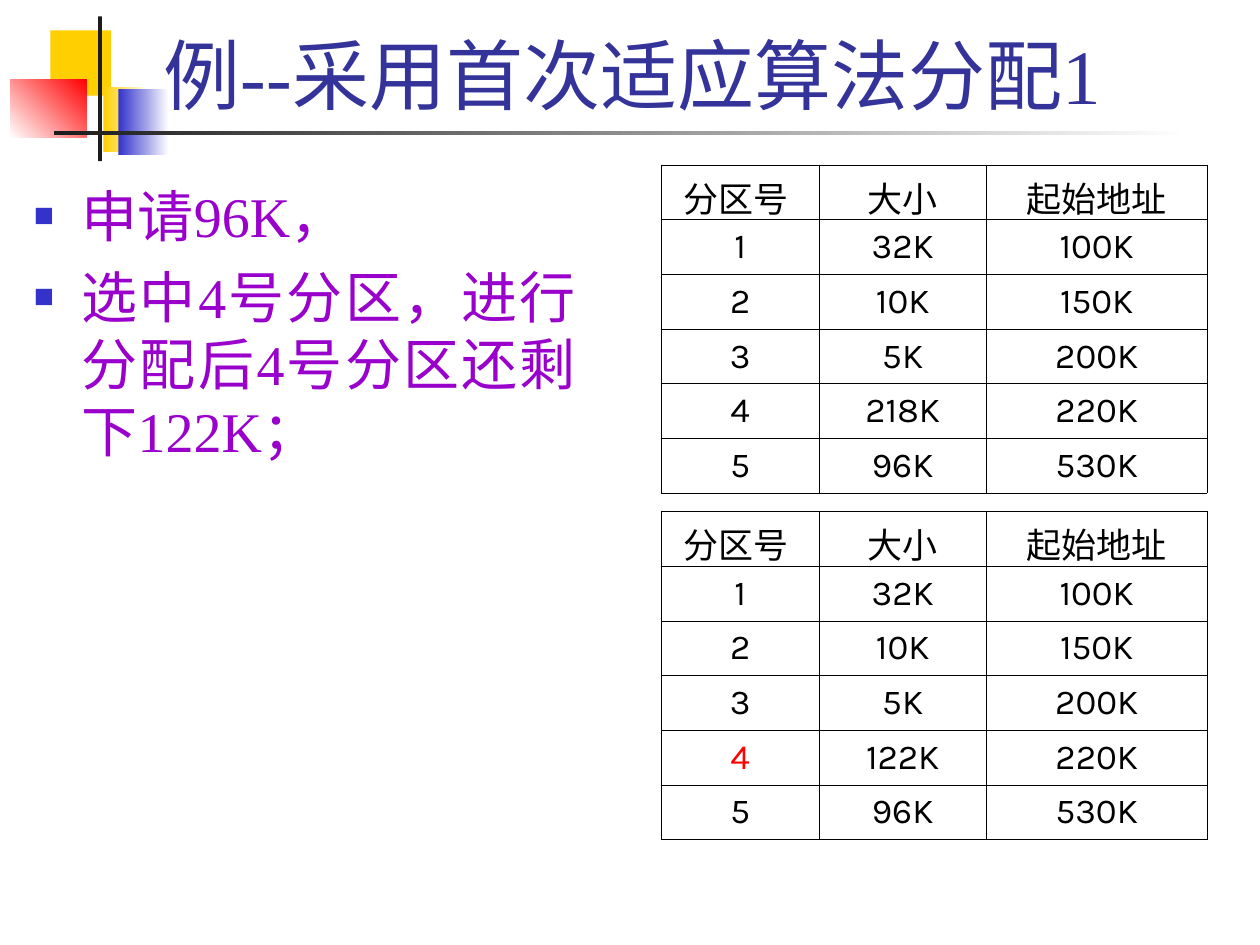
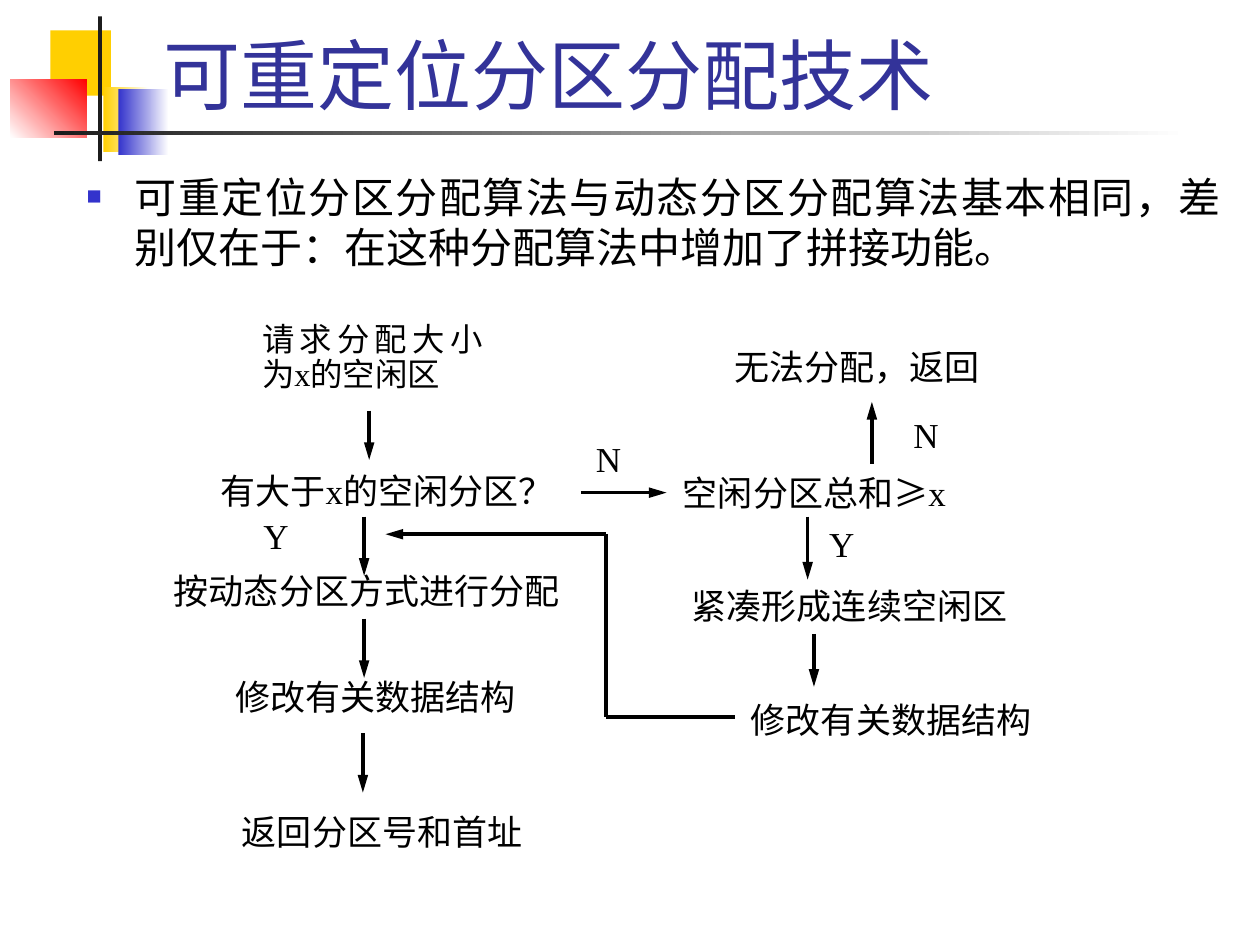
from lxml import etree
from pptx import Presentation
from pptx.dml.color import RGBColor
from pptx.enum.shapes import MSO_CONNECTOR, MSO_SHAPE
from pptx.enum.text import MSO_ANCHOR, PP_ALIGN
from pptx.oxml.ns import qn
from pptx.util import Inches, Pt

RECT = MSO_SHAPE.RECTANGLE
STRAIGHT = MSO_CONNECTOR.STRAIGHT
LEFT, CENTER, JUSTIFY = PP_ALIGN.LEFT, PP_ALIGN.CENTER, PP_ALIGN.JUSTIFY
MIDDLE, BOTTOM = MSO_ANCHOR.MIDDLE, MSO_ANCHOR.BOTTOM
BOTTOM_SIDE = 2

COLORS = {
    "black": "000000", "white": "FFFFFF", "dark": "1C1C1C", "yellow": "FFCF01",
    "blue": "3333CC", "red": "FF0000", "title": "333399", "purple": "9900CC",
}
TIMES, KARLA = "Times New Roman", "Karla"

DECORATION = [
    ((0.4, 0.24, 0.48, 0.52), ["yellow"], 0),
    ((0.82, 0.69, 0.36, 0.52), ["yellow", "white"], 0),
    ((0.94, 0.71, 0.4, 0.52), ["blue", "white"], 0),
    ((0.08, 0.63, 0.61, 0.46), ["white", "red"], 45),
    ((0.78, 0.13, 0.03, 1.15), ["dark"], 0),
    ((0.43, 1.04, 9, 0.03), ["dark", "white"], 0),
]

HEADER = ["分区号 ", "大小", "起始地址"]
SIZES = ["32K", "10K", "5K", "218K", "96K"]
SIZES_AFTER = ["32K", "10K", "5K", "122K", "96K"]
STARTS = ["100K", "150K", "200K", "220K", "530K"]
COLUMN_WIDTHS = [1.25, 1.33, 1.75]

FLOW_TEXTS = [
    ("有大于x的空闲分区？", (1.75, 3.73, 2.83, 0.36)),
    ("空闲分区总和≥x", (5.42, 3.74, 2.25, 0.45)),
    ("N", (4.73, 3.47, 0.37, 0.44)),
    ("Y", (2.09, 4.08, 0.38, 0.47)),
    ("按动态分区方式进行分配", (1.38, 4.52, 3.29, 0.48)),
    ("Y", (6.58, 4.15, 0.37, 0.44)),
    ("紧凑形成连续空闲区", (5.49, 4.64, 2.68, 0.45)),
    ("修改有关数据结构", (1.87, 5.36, 2.38, 0.36)),
    ("修改有关数据结构", (5.96, 5.54, 2.54, 0.46)),
    ("N", (7.25, 3.28, 0.37, 0.47)),
    ("返回分区号和首址", (1.92, 6.43, 2.42, 0.54)),
]
FLOW_ARROWS = [
    (2.93, 3.26, 2.93, 3.65),
    (4.61, 3.91, 5.29, 3.91),
    (2.89, 4.1, 2.89, 4.57),
    (2.89, 4.91, 2.89, 5.38),
    (2.88, 5.82, 2.88, 6.29),
    (6.41, 4.1, 6.41, 4.6),
    (6.46, 5.03, 6.46, 5.45),
    (4.81, 4.24, 3.06, 4.24),
]
FEEDBACK_LINES = [(5.83, 5.69, 4.81, 5.69), (4.81, 5.69, 4.81, 4.24)]


def rgb(name):
    """Return the named colour."""
    return RGBColor.from_string(COLORS[name])


def place(shape, box):
    """Put a shape at left, top, width, height in inches."""
    shape.left, shape.top, shape.width, shape.height = map(Inches, box)


def style(p, size, font, color, align):
    """Format a paragraph and its runs."""
    p.alignment = align
    for r in p.runs:
        r.font.size = Pt(size)
        r.font.name = font
        r.font.color.rgb = rgb(color)


def decorate_layout(s, layout):
    """Draw the corner blocks and title rule behind everything on the layout."""
    for i, (box, names, angle) in enumerate(DECORATION):
        sp = s.shapes.add_shape(RECT, *map(Inches, box))
        sp.shadow.inherit = False
        sp.line.fill.background()
        if len(names) == 1:
            sp.fill.solid()
            sp.fill.fore_color.rgb = rgb(names[0])
        else:
            sp.fill.gradient()
            sp.fill.gradient_angle = angle
            for stop, name, position in zip(sp.fill.gradient_stops, names, (0, 1)):
                stop.color.rgb = rgb(name)
                stop.position = position
        layout.shapes._spTree.insert(2 + i, sp._element)


def add_title_slide(prs, layout, title, font):
    """Add a slide with a formatted title."""
    s = prs.slides.add_slide(layout)
    place(s.shapes.title, (1.2, 0.17, 8.52, 0.83))
    tf = s.shapes.title.text_frame
    tf.text = title
    tf.vertical_anchor = BOTTOM
    style(tf.paragraphs[0], 44, font, "title", LEFT)
    return s


def add_bullet(p):
    """Give a paragraph a hanging square bullet."""
    pPr = p._p.get_or_add_pPr()
    pPr.set("marL", str(Inches(0.38)))
    pPr.set("indent", str(-Inches(0.38)))
    color = etree.SubElement(pPr, qn("a:buClr"))
    etree.SubElement(color, qn("a:srgbClr"), val=COLORS["blue"])
    etree.SubElement(pPr, qn("a:buSzPct"), val="60000")
    etree.SubElement(pPr, qn("a:buFont"), typeface=TIMES)
    etree.SubElement(pPr, qn("a:buChar"), char="■")


def add_bullets(s, box, lines, size, font, color):
    """Add a justified bullet list."""
    tf = s.shapes.add_textbox(*map(Inches, box)).text_frame
    tf.word_wrap = True
    tf.text = "\n".join(lines)
    for i, p in enumerate(tf.paragraphs):
        add_bullet(p)
        if i:
            p.space_before = Pt(8)
        style(p, size, font, color, JUSTIFY)


def add_borders(cell):
    """Draw thin black lines around a cell."""
    tcPr = cell._tc.get_or_add_tcPr()
    for side in ("a:lnL", "a:lnR", "a:lnT", "a:lnB"):
        ln = etree.SubElement(tcPr, qn(side), w=str(Pt(0.45)))
        fill = etree.SubElement(ln, qn("a:solidFill"))
        etree.SubElement(fill, qn("a:srgbClr"), val=COLORS["black"])


def add_partition_table(s, top, sizes, changed=None):
    """Add a free partition table, with the changed number in red."""
    numbers = map(str, range(1, len(sizes) + 1))
    rows = [HEADER, *zip(numbers, sizes, STARTS)]
    frame = s.shapes.add_table(len(rows), len(HEADER), Inches(5.25), Inches(top),
                               Inches(sum(COLUMN_WIDTHS)), Inches(2.6))
    table = frame.table
    table.first_row = table.horz_banding = False
    for column, width in zip(table.columns, COLUMN_WIDTHS):
        column.width = Inches(width)
    for i, row in enumerate(rows):
        for j, text in enumerate(row):
            cell = table.cell(i, j)
            cell.text = text
            cell.vertical_anchor = MIDDLE
            add_borders(cell)
            cell.fill.background()
            font = TIMES if i == j == 0 else KARLA
            color = "red" if j == 0 and i == changed else "black"
            style(cell.text_frame.paragraphs[0], 20, font, color, CENTER)


def add_flow_text(s, text, box, size=20, spacing=None):
    """Add a flowchart text without margins."""
    sp = s.shapes.add_textbox(*map(Inches, box))
    tf = sp.text_frame
    tf.word_wrap = True
    tf.margin_left = tf.margin_top = tf.margin_right = tf.margin_bottom = 0
    tf.text = text
    tf.paragraphs[0].line_spacing = spacing
    style(tf.paragraphs[0], size, TIMES, "black", JUSTIFY)
    return sp


def add_line(s, ends, arrow=True):
    """Add a straight black line, with an arrowhead at its end if wanted."""
    line = s.shapes.add_connector(STRAIGHT, *map(Inches, ends))
    line.line.color.rgb = rgb("black")
    line.line.width = Pt(2)
    if arrow:
        etree.SubElement(line.line._get_or_add_ln(), qn("a:tailEnd"),
                         type="triangle", w="med", len="lg")
    etree.SubElement(line._element.spPr, qn("a:effectLst"))
    return line


def add_flowchart(s):
    """Add the relocatable allocation flowchart."""
    add_flow_text(s, "请求分配大小为x的空闲区", (2.08, 2.57, 1.75, 0.67), 18.5, 0.9)
    for text, box in FLOW_TEXTS:
        add_flow_text(s, text, box)
    for ends in FLOW_ARROWS:
        add_line(s, ends)
    for ends in FEEDBACK_LINES:
        add_line(s, ends, arrow=False)
    failure = add_flow_text(s, "无法分配，返回", (5.83, 2.74, 2.18, 0.45))
    add_line(s, (6.92, 3.68, 6.92, 3.19)).end_connect(failure, BOTTOM_SIDE)


def main():
    """Build and save the slides."""
    prs = Presentation()
    prs.slide_width, prs.slide_height = Inches(10), Inches(7.5)
    layout = prs.slide_layouts[5]

    s = add_title_slide(prs, layout, "例--采用首次适应算法分配1", TIMES)
    decorate_layout(s, layout)
    add_bullets(s, (0.17, 1.39, 4.5, 4.96),
                ["申请96K，", "选中4号分区，进行分配后4号分区还剩下122K；"],
                32, TIMES, "purple")
    add_partition_table(s, 1.31, SIZES)
    add_partition_table(s, 4.06, SIZES_AFTER, changed=4)

    s = add_title_slide(prs, layout, "可重定位分区分配技术", KARLA)
    add_bullets(s, (0.59, 1.31, 9.2, 0.96),
                ["可重定位分区分配算法与动态分区分配算法基本相同，"
                 "差别仅在于：在这种分配算法中增加了拼接功能。"],
                24, KARLA, "black")
    add_flowchart(s)

    prs.save("out.pptx")


if __name__ == "__main__":
    main()
